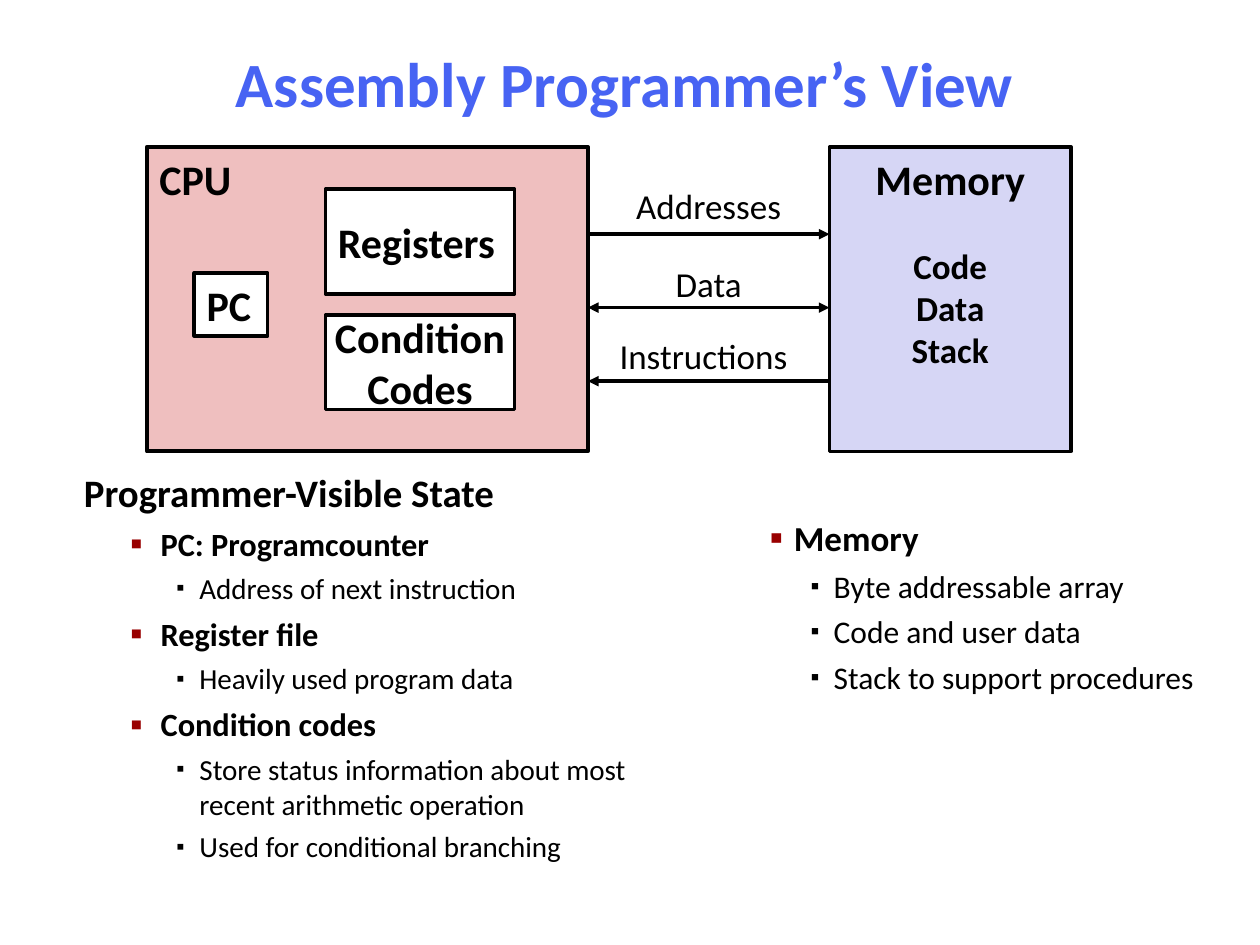
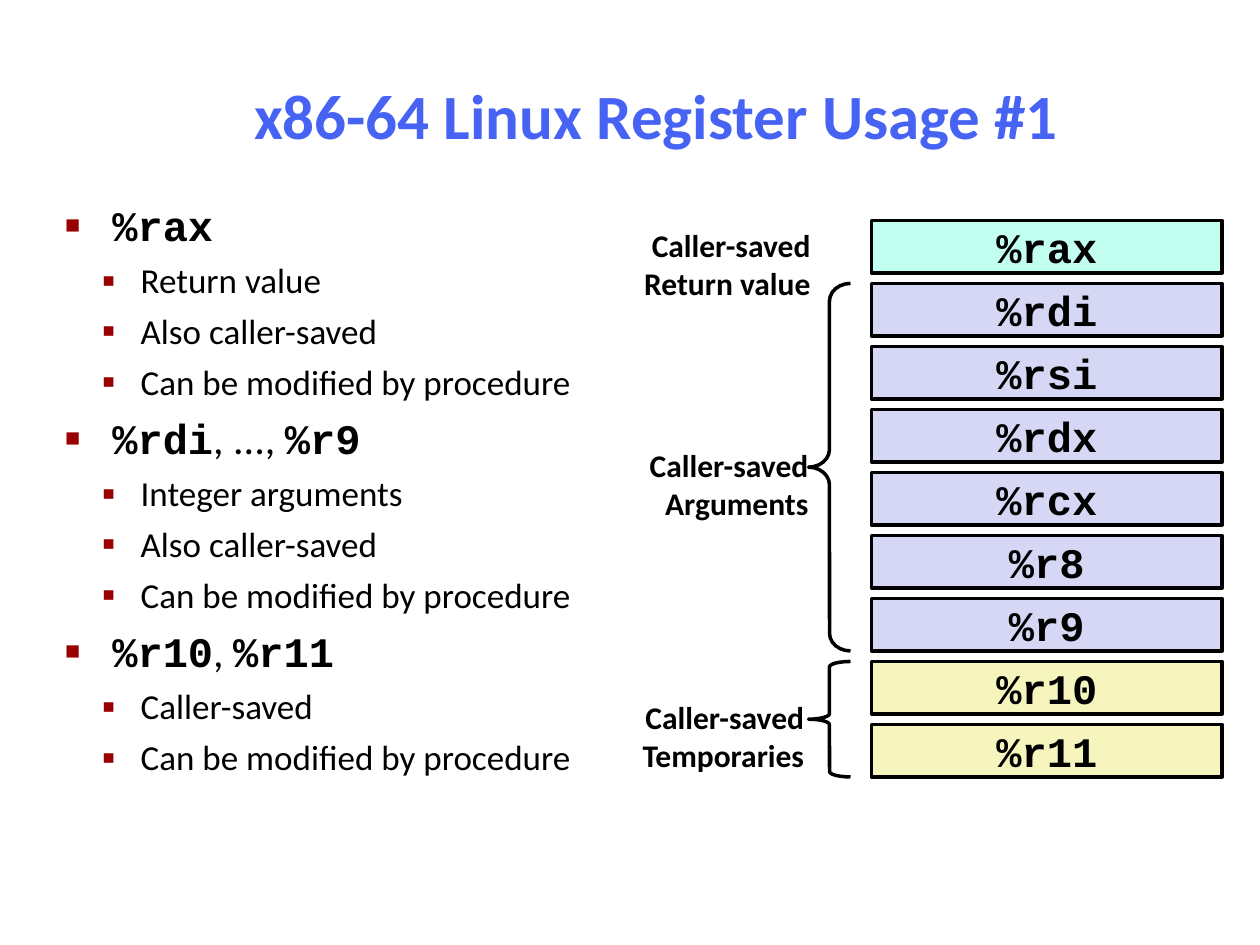
from lxml.etree import SubElement as Sub
from pptx import Presentation
from pptx.dml.color import RGBColor
from pptx.enum.shapes import MSO_CONNECTOR as Line, MSO_SHAPE as Kind
from pptx.enum.text import MSO_ANCHOR as Anchor, MSO_AUTO_SIZE as Fit, PP_ALIGN as Align
from pptx.oxml.ns import qn
from pptx.util import Pt

# Shared look: 120 px to the inch
PX = 7620
hue = RGBColor.from_string
INK, RED, LILAC, WHITE = "000000", "990000", "D6D6F5", "FFFFFF"
LEFT, MID, RIGHT = Align.LEFT, Align.CENTER, Align.RIGHT
HEAD = dict(size=36, bold=True, ink="4763F3", align=MID)


def write(frame, text, size=24, bold=False, ink=INK, align=LEFT, gap=0,
          level=0, left=0, hang=0, mark=None, tint=RED, rate=110):
    """Append one paragraph a line; parts split by | that start with % are code."""
    frame.auto_size = Fit.NONE
    for row in text.split("\n"):
        first = not frame.text
        para = frame.paragraphs[0] if first else frame.add_paragraph()
        para.level = level
        props = para._p.get_or_add_pPr()
        props.set("marL", str(left * PX))
        props.set("indent", str(-hang * PX))
        if mark:
            Sub(Sub(props, qn("a:buClr")), qn("a:srgbClr")).set("val", tint)
            Sub(props, qn("a:buSzPct")).set("val", str(rate * 1000))
            Sub(props, qn("a:buChar")).set("char", mark)
        else:
            Sub(props, qn("a:buNone"))
        para.alignment = align
        para.space_before = Pt(0 if first else gap)
        for part in row.split("|"):
            code = part.startswith("%")
            run = para.add_run()
            run.text = part
            font = run.font
            font.name = "Courier New" if code else "Calibri"
            font.size, font.bold = Pt(size), bold or code
            font.color.rgb = hue(ink)


def draw(slide, at, kind=Kind.RECTANGLE, fill=None, wide=2):
    """Add a preset shape with a black outline."""
    shape = slide.shapes.add_shape(kind, *[n * PX for n in at])
    shape.shadow.inherit = False
    if fill:
        shape.fill.solid()
        shape.fill.fore_color.rgb = hue(fill)
    else:
        shape.fill.background()
    shape.line.color.rgb = hue(INK)
    shape.line.width = Pt(wide)
    return shape


deck = Presentation()
deck.slide_width, deck.slide_height = 1200 * PX, 900 * PX

# Slides with their title and body placeholders
pages = [
    (3, "Assembly Programmer’s View",
     [(121, 40, 948, 76), (68, 440, 572, 406), (706, 486, 475, 206)]),
    (1, "x86-64 Linux Register Usage #1",
     [(200, 34, 850, 150), (50, 184, 533, 713)]),
]
slides = []
for layout, title, spots in pages:
    slide = deck.slides.add_slide(deck.slide_layouts[layout])
    for holder, at in zip(slide.placeholders, spots):
        holder.left, holder.top, holder.width, holder.height = [n * PX for n in at]
    frame = slide.shapes.title.text_frame
    frame.vertical_anchor = Anchor.MIDDLE
    write(frame, title, **HEAD)
    slides.append(slide)
view, usage = slides

# Lists: each row names its style
major = dict(bold=True, gap=5, level=1, mark="▪")
minor = dict(gap=4.5, level=2, hang=22, mark="▪", tint=INK, rate=80)
styles = {
    "top": dict(size=22.2, bold=True, left=30, hang=30),
    "state": dict(major, size=18.5, left=73, hang=29),
    "note": dict(minor, size=16.6, left=110),
    "store": dict(major, size=20, left=38, hang=23),
    "use": dict(minor, size=18, left=76),
    "reg": dict(gap=6, left=45, hang=45, mark="■", rate=60),
    "fact": dict(size=20, gap=5, level=1, left=72, hang=37, mark="▪"),
}
lists = [
    (view, 1, [
        ("top", "Programmer-Visible State"),
        ("state", "PC: Programcounter"),
        ("note", "Address of next instruction"),
        ("state", "Register file"),
        ("note", "Heavily used program data"),
        ("state", "Condition codes"),
        ("note", "Store status information about most recent arithmetic operation"),
        ("note", "Used for conditional branching"),
    ]),
    (view, 2, [
        ("store", "Memory"),
        ("use", "Byte addressable array\nCode and user data\nStack to support procedures"),
    ]),
    (usage, 1, [
        ("reg", "%rax"),
        ("fact", "Return value\nAlso caller-saved\nCan be modified by procedure"),
        ("reg", "%rdi|, ..., |%r9"),
        ("fact", "Integer arguments\nAlso caller-saved\nCan be modified by procedure"),
        ("reg", "%r10|, |%r11"),
        ("fact", "Caller-saved\nCan be modified by procedure"),
    ]),
]
for slide, spot, rows in lists:
    frame = slide.placeholders[spot].text_frame
    for style, text in rows:
        write(frame, text, **styles[style])

# CPU and memory blocks
blocks = [
    ("CPU", (140, 140, 420, 290), "EFBFBF", 2.25, Anchor.TOP, LEFT),
    ("PC", (185, 260, 70, 60), WHITE, 2, Anchor.MIDDLE, LEFT),
    ("Registers", (310, 180, 180, 100), WHITE, 2, Anchor.MIDDLE, LEFT),
    ("Condition\nCodes", (310, 300, 180, 90), WHITE, 2, Anchor.MIDDLE, MID),
    ("Memory", (790, 140, 230, 290), LILAC, 2, Anchor.TOP, MID),
]
for text, at, fill, wide, anchor, align in blocks:
    frame = draw(view, at, fill=fill, wide=wide).text_frame
    frame.word_wrap = text == "CPU"
    frame.vertical_anchor = anchor
    write(frame, text, bold=True, align=align)

# Bus arrows between the blocks
for y, ends in [(223, ["tail"]), (293, ["head", "tail"]), (363, ["head"])]:
    bus = view.shapes.add_connector(Line.STRAIGHT, 560 * PX, y * PX, 790 * PX, y * PX)
    bus.line.color.rgb = hue(INK)
    bus.line.width = Pt(2)
    for end in ends:
        Sub(bus.line._get_or_add_ln(), qn(f"a:{end}End")).set("type", "triangle")
    Sub(bus._element.spPr, qn("a:effectLst"))

# Registers, one box a row
names = ["rax", "rdi", "rsi", "rdx", "rcx", "r8", "r9", "r10", "r11"]
fills = ["C2FFF0"] + [LILAC] * 6 + ["F6F5BD"] * 2
for i, (name, fill) in enumerate(zip(names, fills)):
    frame = draw(usage, (830, 210 + 60 * i, 334, 50), fill=fill).text_frame
    frame.margin_left = frame.margin_top = frame.margin_right = frame.margin_bottom = 0
    frame.vertical_anchor = Anchor.MIDDLE
    write(frame, "%" + name, align=MID)

# Braces around the register groups
for top, high, bend in [(270, 350, 0.42), (630, 110, 0.13)]:
    brace = draw(usage, (770, top, 40, high), Kind.LEFT_BRACE)
    brace.adjustments[0] = bend

# Free labels
bus = dict(size=20, align=MID)
group = dict(size=18, bold=True, align=RIGHT)
labels = [
    (view, "Code\nData\nStack", (830, 227, 150, 132), 12, 6, dict(bus, bold=True)),
    (view, "Addresses", (560, 170, 230, 52), 12, 6, bus),
    (view, "Data", (560, 244, 230, 52), 12, 6, bus),
    (view, "Instructions", (560, 313, 220, 52), 12, 6, bus),
    (usage, "Caller-saved\nReturn value", (574, 210, 203, 82), 5, 5, group),
    (usage, "Caller-saved\nArguments", (582, 420, 193, 82), 5, 5, group),
    (usage, "Caller-saved\nTemporaries", (572, 660, 199, 82), 5, 5, group),
]
for slide, text, at, side, edge, look in labels:
    frame = slide.shapes.add_textbox(*[n * PX for n in at]).text_frame
    frame.word_wrap = True
    frame.margin_left = frame.margin_right = side * PX
    frame.margin_top = frame.margin_bottom = edge * PX
    write(frame, text, **look)

deck.save("out.pptx")
